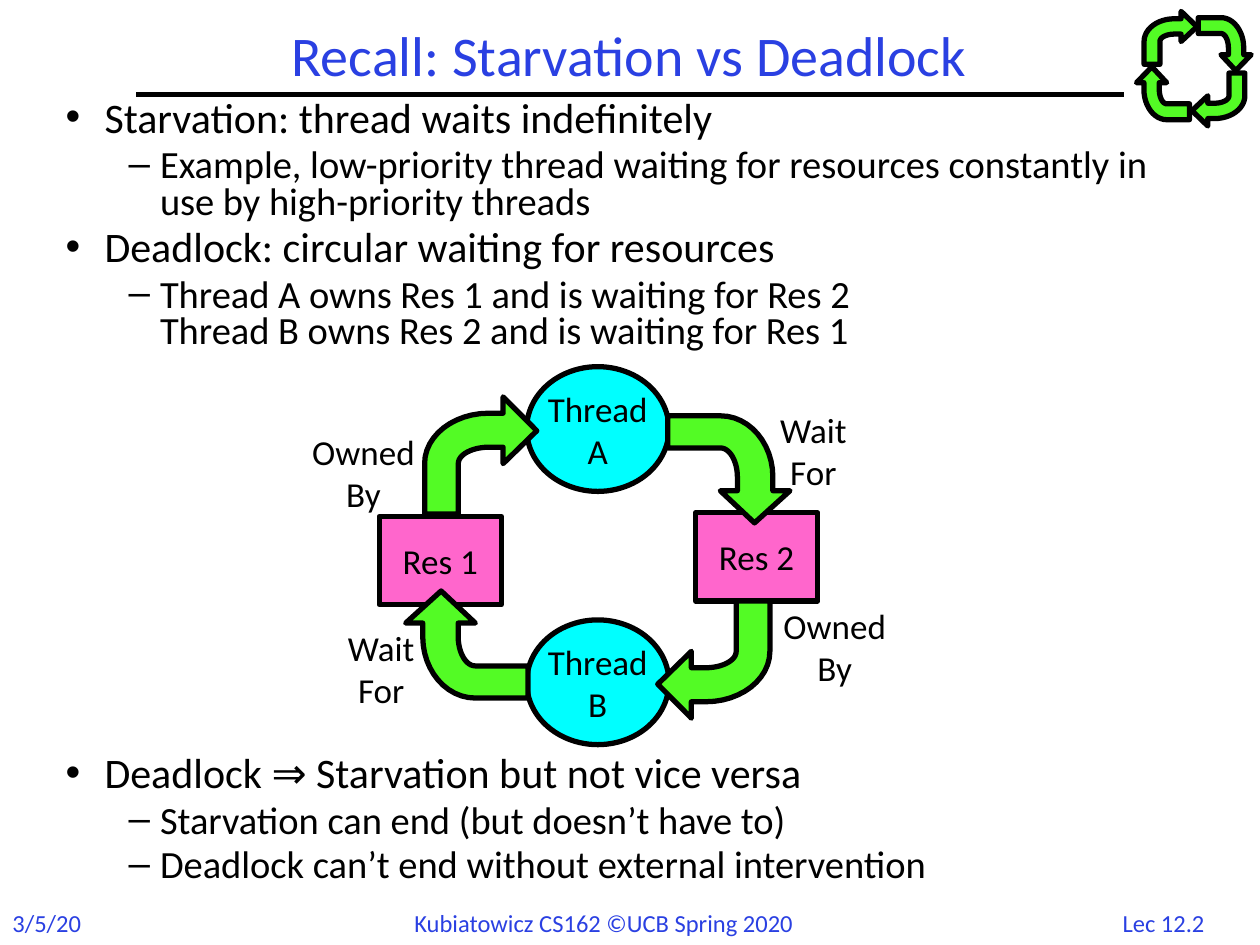
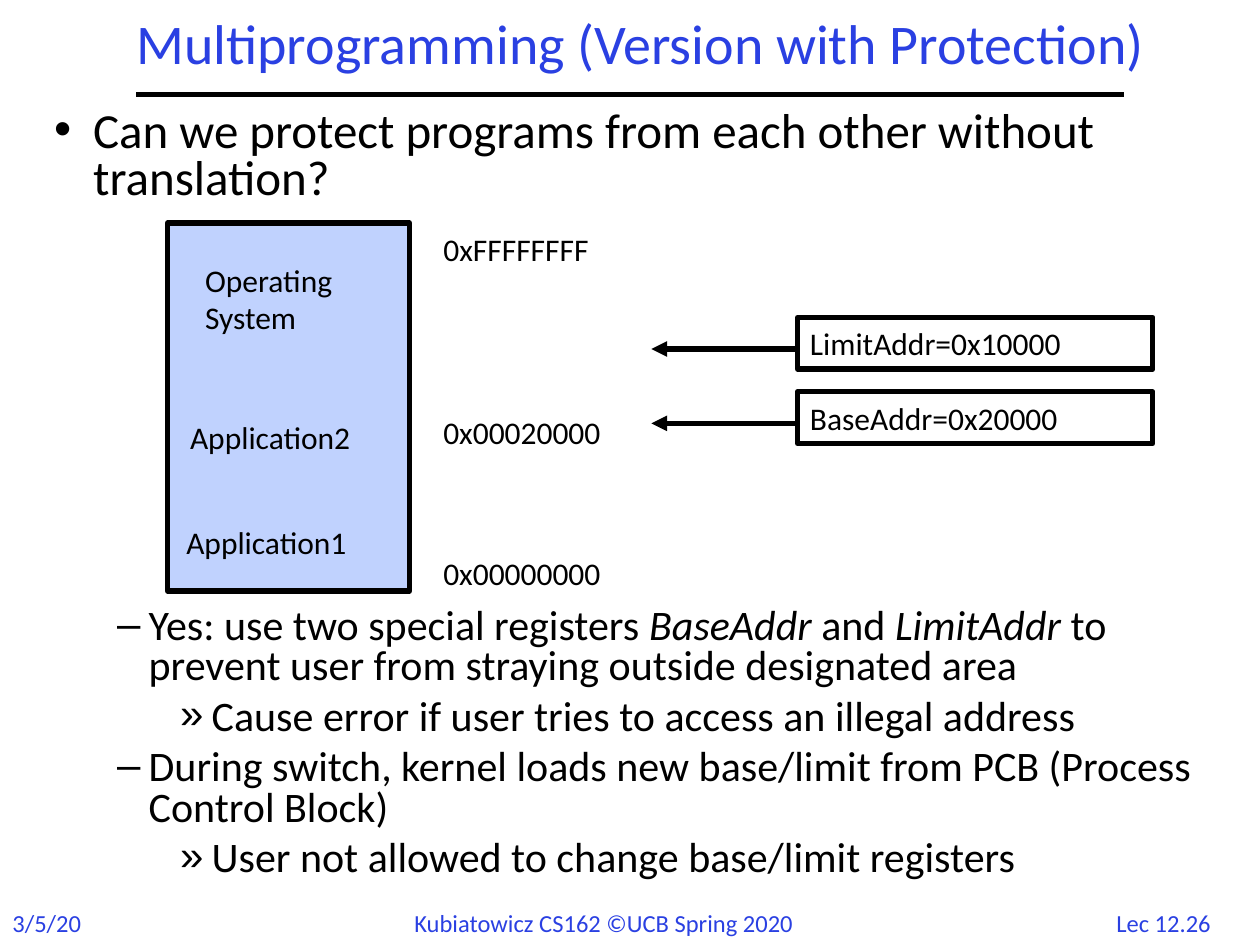
import pptx
import pptx.dml.color
import pptx.enum.shapes
import pptx.enum.text
import pptx.oxml
import pptx.oxml.ns
import pptx.util
from pptx.util import Inches

COLORS = {
    "heading": "2A40E2",
    "text": "000000",
    "resource": "FF66CC",
    "thread": "00FFFF",
    "arrow": "53FB25",
    "memory": "C0D2FE",
}
FONT = "Calibri"
LINE_WIDTH = 3
# Bullet, text indent and hanging indent for each list level
LEVELS = [("•", 0.31, 0.31), ("–", 0.75, 0.25), ("»", 1.25, 0.25)]
ALIGN = pptx.enum.text.PP_ALIGN
ANCHOR = pptx.enum.text.MSO_ANCHOR
SHAPES = pptx.enum.shapes.MSO_SHAPE


def color(name):
    return pptx.dml.color.RGBColor.from_string(COLORS[name])


def add_run(paragraph, text, size, color_name="text", italic=None):
    run = paragraph.add_run()
    run.text = text
    run.font.name = FONT
    run.font.size = pptx.util.Pt(size)
    run.font.italic = italic
    run.font.color.rgb = color(color_name)


def write_lines(shape, lines, size, color_name="text", align=ALIGN.LEFT, anchor=ANCHOR.TOP):
    """Write one unwrapped paragraph for each line."""
    frame = shape.text_frame
    frame.word_wrap = False
    frame.vertical_anchor = anchor
    for index, line in enumerate(lines):
        paragraph = frame.add_paragraph() if index else frame.paragraphs[0]
        paragraph.alignment = align
        add_run(paragraph, line, size, color_name)


def add_label(slide, box, lines, size, color_name="text", align=ALIGN.LEFT):
    label = slide.shapes.add_textbox(*map(Inches, box))
    write_lines(label, lines, size, color_name, align)


def style_shape(shape, fill_name=None):
    shape.shadow.inherit = False
    if fill_name:
        shape.fill.solid()
        shape.fill.fore_color.rgb = color(fill_name)
    else:
        shape.fill.background()
    shape.line.color.rgb = color("text")
    shape.line.width = pptx.util.Pt(LINE_WIDTH)


def add_box(slide, kind, box, fill_name=None):
    shape = slide.shapes.add_shape(kind, *map(Inches, box))
    style_shape(shape, fill_name)
    return shape


def add_line(slide, start, end, arrowhead=False):
    line = slide.shapes.add_connector(
        pptx.enum.shapes.MSO_CONNECTOR.STRAIGHT, *map(Inches, start + end))
    line.line.color.rgb = color("text")
    line.line.width = pptx.util.Pt(LINE_WIDTH)
    if arrowhead:
        tail = pptx.oxml.parse_xml(
            f'<a:tailEnd {pptx.oxml.ns.nsdecls("a")} type="triangle"/>')
        line.line._get_or_add_ln().append(tail)
    line._element.spPr.append(
        pptx.oxml.parse_xml(f'<a:effectLst {pptx.oxml.ns.nsdecls("a")}/>'))


# Bent arrows, drawn in a unit square and turned by quarters

def curve(p0, p1, p2, p3, steps=12):
    """Points along a cubic curve."""
    points = []
    for step in range(steps + 1):
        t = step / steps
        weights = ((1 - t) ** 3, 3 * t * (1 - t) ** 2, 3 * t * t * (1 - t), t ** 3)
        points.append(tuple(
            sum(weight * value for weight, value in zip(weights, values))
            for values in zip(p0, p1, p2, p3)))
    return points


BENT_ARROW = (
    [(1, 0.29), (0.7, 0), (0.7, 0.14)]
    + curve((0.57, 0.14), (0.26, 0.14), (0, 0.33), (0, 0.57))
    + [(0, 1), (0.3, 1)]
    + curve((0.3, 0.57), (0.3, 0.49), (0.43, 0.43), (0.57, 0.43))
    + [(0.7, 0.43), (0.7, 0.57)]
)


def add_bent_arrow(slide, box, quarter_turns):
    left, top, width, height = box
    points = BENT_ARROW
    for _ in range(quarter_turns):
        points = [(1 - y, x) for x, y in points]
    points = [(Inches(left + x * width), Inches(top + y * height)) for x, y in points]
    builder = slide.shapes.build_freeform(*points[0])
    builder.add_line_segments(points[1:], close=True)
    style_shape(builder.convert_to_shape(), "arrow")


def add_arrow_ring(slide, left, top, boxes):
    """Four arrows, clockwise from the top left."""
    for turns, (x, y, width, height) in enumerate(boxes):
        add_bent_arrow(slide, (left + x, top + y, width, height), turns)


# Parts that every slide shares

def place(shape, box):
    shape.left, shape.top, shape.width, shape.height = map(Inches, box)
    shape.text_frame.auto_size = pptx.enum.text.MSO_AUTO_SIZE.NONE


def add_title(slide, box, text):
    title = slide.shapes.title
    place(title, box)
    title.text_frame.vertical_anchor = ANCHOR.MIDDLE
    paragraph = title.text_frame.paragraphs[0]
    paragraph.alignment = ALIGN.CENTER
    paragraph.line_spacing = 0.9
    add_run(paragraph, text, 32, "heading")


def add_list(slide, box, items):
    """Items are (level, size, space before, lines); a line is text or (text, italic) runs."""
    body = slide.placeholders[1]
    place(body, box)
    frame = body.text_frame
    frame.vertical_anchor = ANCHOR.TOP
    for index, (level, size, space, lines) in enumerate(items):
        paragraph = frame.add_paragraph() if index else frame.paragraphs[0]
        paragraph.level = level
        paragraph.line_spacing = 0.8
        paragraph.space_before = pptx.util.Pt(space)
        bullet, indent, hanging = LEVELS[level]
        properties = paragraph._p.get_or_add_pPr()
        properties.set("marL", str(Inches(indent)))
        properties.set("indent", str(-Inches(hanging)))
        properties.append(pptx.oxml.parse_xml(
            f'<a:buChar {pptx.oxml.ns.nsdecls("a")} char="{bullet}"/>'))
        for number, line in enumerate(lines):
            if number:
                paragraph.add_line_break()
            for text, italic in [(line, None)] if isinstance(line, str) else line:
                add_run(paragraph, text, size, italic=italic)


def add_frame(slide, lecture_page):
    """Title rule and footer."""
    add_line(slide, (1.08, 0.75), (8.92, 0.75))
    add_label(slide, (0, 7.16, 0.75, 0.34), ["3/5/20"], 14, "heading")
    add_label(slide, (3.19, 7.16, 3.63, 0.34),
              ["Kubiatowicz CS162 ©UCB Spring 2020"], 14, "heading")
    add_label(slide, (8.72, 7.16, 1.03, 0.34), [lecture_page], 14, "heading", ALIGN.CENTER)


def new_slide(presentation, lecture_page):
    slide = presentation.slides.add_slide(presentation.slide_layouts[1])
    add_frame(slide, lecture_page)
    return slide


# Starvation and deadlock

def add_deadlock_cycle(slide, left, top):
    nodes = [
        (SHAPES.RECTANGLE, (3.16, 1.16, 0.97, 0.7), "resource", ["Res 2"]),
        (SHAPES.RECTANGLE, (0.65, 1.19, 0.97, 0.7), "resource", ["Res 1"]),
        (SHAPES.OVAL, (1.82, 2.01, 1.13, 0.99), "thread", ["Thread", "B"]),
        (SHAPES.OVAL, (1.82, 0, 1.13, 0.99), "thread", ["Thread", "A"]),
    ]
    for kind, (x, y, width, height), fill_name, lines in nodes:
        node = add_box(slide, kind, (left + x, top + y, width, height), fill_name)
        write_lines(node, lines, 20, align=ALIGN.CENTER, anchor=ANCHOR.MIDDLE)
    add_arrow_ring(slide, left, top, [
        (1.01, 0.24, 0.89, 0.93), (2.94, 0.39, 0.97, 0.85),
        (2.86, 1.86, 0.89, 0.93), (0.86, 1.78, 0.97, 0.85)])
    labels = [
        (3.72, 0.28, 0.75, ["Wait", "For"]),
        (0.29, 2.01, 0.75, ["Wait", "For"]),
        (3.74, 1.84, 1.05, ["Owned", "By"]),
        (0, 0.46, 1.05, ["Owned", "By"]),
    ]
    for x, y, width, lines in labels:
        add_label(slide, (left + x, top + y, width, 0.77), lines, 20, align=ALIGN.CENTER)


def build_deadlock_slide(presentation):
    slide = new_slide(presentation, "Lec 12.2")
    add_title(slide, (1.08, 0.17, 7.83, 0.58), "Recall: Starvation vs Deadlock")
    gap, diagram_gap = 4.4, 231
    add_list(slide, (0.42, 0.75, 9.03, 6.76), [
        (0, 24, gap, ["Starvation: thread waits indefinitely"]),
        (1, 22, gap, ["Example, low-priority thread waiting for resources "
                      "constantly in use by high-priority threads"]),
        (0, 24, gap, ["Deadlock: circular waiting for resources"]),
        (1, 22, gap, ["Thread A owns Res 1 and is waiting for Res 2",
                      "Thread B owns Res 2 and is waiting for Res 1"]),
        (0, 24, diagram_gap, ["Deadlock ⇒ Starvation but not vice versa"]),
        (1, 22, gap, ["Starvation can end (but doesn’t have to)"]),
        (1, 22, gap, ["Deadlock can’t end without external intervention"]),
    ])
    add_deadlock_cycle(slide, 2.36, 2.91)
    # Small cycle in the corner
    side = 0.42
    add_arrow_ring(slide, 9.02, 0.09, [
        (0.06, 0, side, side), (0.49, 0.05, side, side),
        (0.44, 0.49, side, side), (0, 0.44, side, side)])


# Multiprogramming with protection

def add_memory_map(slide, left, top):
    add_box(slide, SHAPES.RECTANGLE, (left, top, 1.92, 2.92), "memory")
    labels = [
        (0.2, 0.25, 1.24, ["Operating", "System"]),
        (0.08, 1.5, 1.48, ["Application2"]),
        (0.05, 2.33, 1.48, ["Application1"]),
        (2.09, 0.01, 1.41, ["0xFFFFFFFF"]),
        (2.09, 1.46, 1.46, ["0x00020000"]),
        (2.09, 2.58, 1.46, ["0x00000000"]),
    ]
    for x, y, width, lines in labels:
        add_label(slide, (left + x, top + y, width, 0.1 + 0.3 * len(lines)), lines, 18)


def add_registers(slide, left, top):
    for row, text in enumerate(["LimitAddr=0x10000", "BaseAddr=0x20000"]):
        y = top + 0.59 * row
        register = add_box(slide, SHAPES.RECTANGLE, (left, y, 2.82, 0.41))
        write_lines(register, [text], 18, anchor=ANCHOR.MIDDLE)
        add_line(slide, (left, y + 0.25), (left - 1.16, y + 0.25), arrowhead=True)


def build_protection_slide(presentation):
    slide = new_slide(presentation, "Lec 12.26")
    add_title(slide, (0.25, 0.08, 9.67, 0.58), "Multiprogramming (Version with Protection)")
    gap, diagram_gap = 5.8, 230.5
    add_list(slide, (0.33, 0.83, 9.5, 6), [
        (0, 28, gap, ["Can we protect programs from each other without translation?"]),
        (1, 24, diagram_gap, [[
            ("Yes: use two special registers ", None), ("BaseAddr", True),
            (" and ", None), ("LimitAddr", True),
            (" to prevent user from straying outside designated area", None)]]),
        (2, 24, gap, ["Cause error if user tries to access an illegal address"]),
        (1, 24, gap, ["During switch, kernel loads new base/limit from PCB "
                      "(Process Control Block)"]),
        (2, 24, gap, ["User not allowed to change base/limit registers"]),
    ])
    add_memory_map(slide, 1.33, 1.77)
    add_registers(slide, 6.33, 2.52)


def main():
    presentation = pptx.Presentation()
    presentation.slide_width = Inches(10)
    presentation.slide_height = Inches(7.5)
    build_deadlock_slide(presentation)
    build_protection_slide(presentation)
    presentation.save("out.pptx")


if __name__ == "__main__":
    main()
